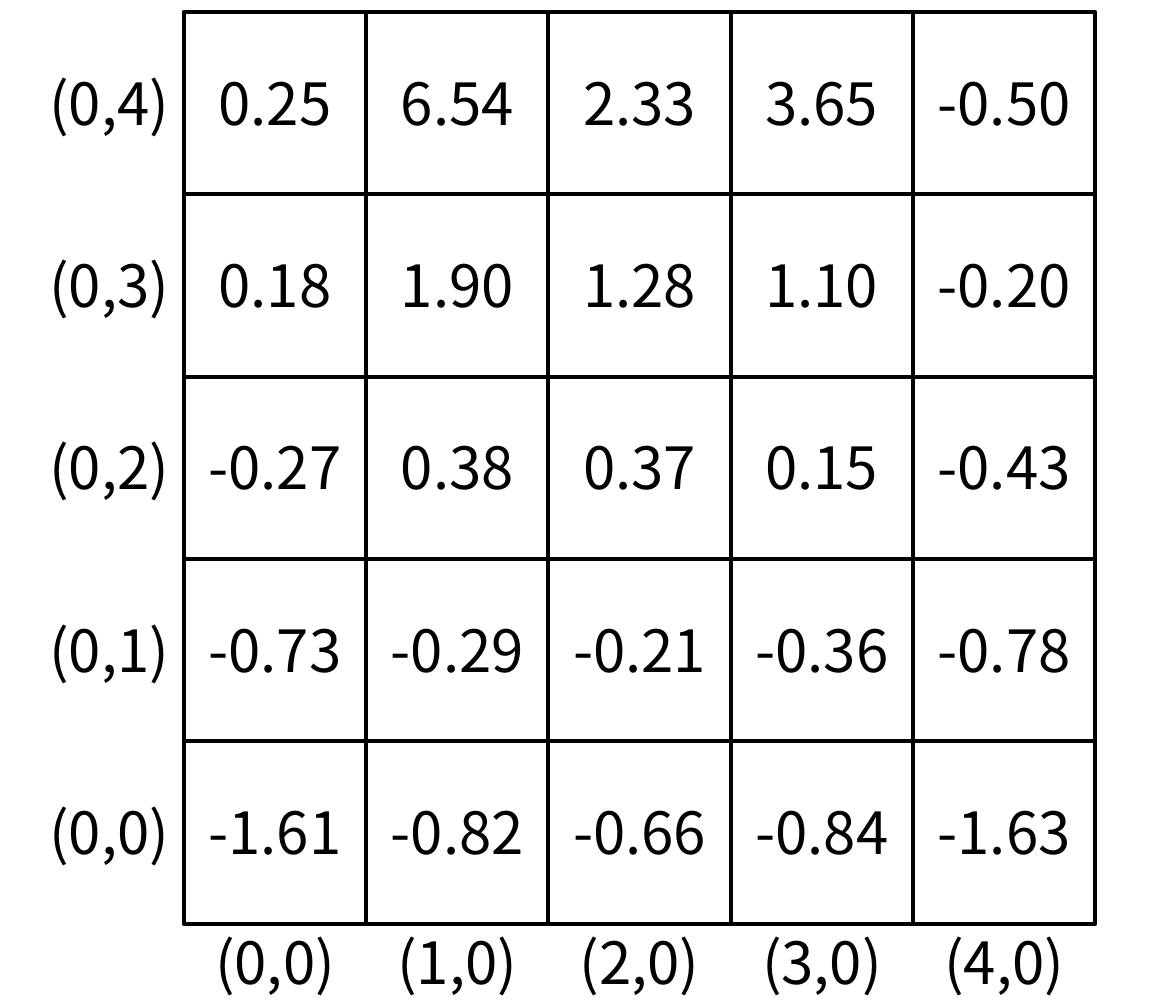
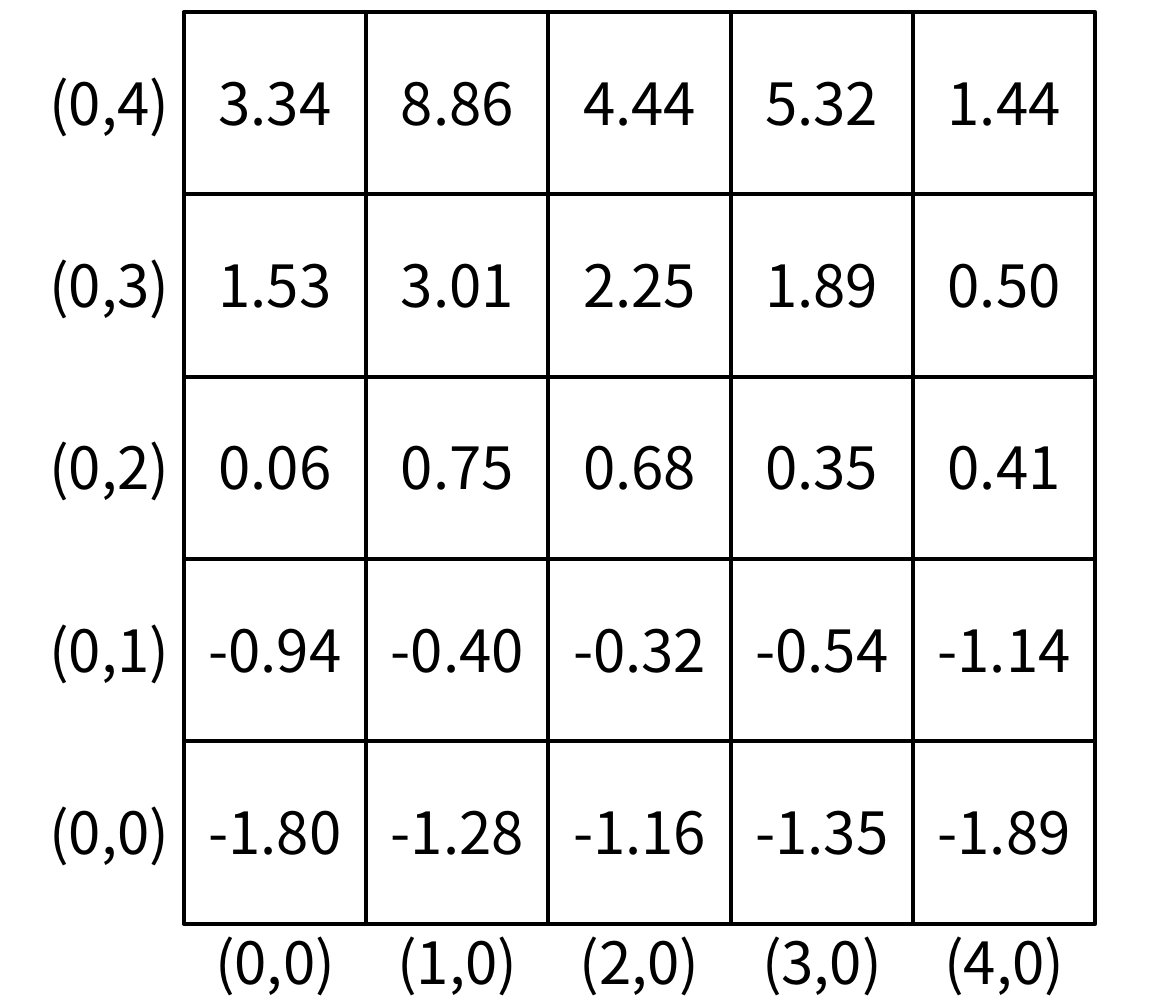
from lxml import etree
from pptx import Presentation
from pptx import util as u
from pptx.dml.color import RGBColor
from pptx.enum import shapes, text
from pptx.oxml.ns import qn

PX = 9144  # EMU in one px: 100 px to the inch
WIDTH, HEIGHT = 787, 669
BLANK_LAYOUT = 6

COUNT, CELL = 5, 122
LEFT, TOP = 123, 8
SIDE = COUNT * CELL
RIGHT, BOTTOM = LEFT + SIDE, TOP + SIDE
TEXT_DROP, TEXT_INSET = 32, 4
LABEL_LEFT, LABEL_TOP = 12, 615

ROW_LABELS = [f"(0,{y})" for y in reversed(range(COUNT))]
COLUMN_LABELS = [f"({x},0)" for x in range(COUNT)]

FIRST_VALUES = [
    ["0.25", "6.54", "2.33", "3.65", "-0.50"],
    ["0.18", "1.90", "1.28", "1.10", "-0.20"],
    ["-0.27", "0.38", "0.37", "0.15", "-0.43"],
    ["-0.73", "-0.29", "-0.21", "-0.36", "-0.78"],
    ["-1.61", "-0.82", "-0.66", "-0.84", "-1.63"],
]
SECOND_VALUES = [
    ["3.34", "8.86", "4.44", "5.32", "1.44"],
    ["1.53", "3.01", "2.25", "1.89", "0.50"],
    ["0.06", "0.75", "0.68", "0.35", "0.41"],
    ["-0.94", "-0.40", "-0.32", "-0.54", "-1.14"],
    ["-1.80", "-1.28", "-1.16", "-1.35", "-1.89"],
]


def px(*lengths):
    return [u.Emu(length * PX) for length in lengths]


def color(hex_string):
    return RGBColor.from_string(hex_string)


class Painter:
    """Holds the deck, its style and the current page."""

    FONT, SIZE, LINE_WIDTH = "Noto Sans CJK JP", 28, 2
    INK, PAPER = "000000", "FFFFFF"

    def __init__(self):
        self.deck = Presentation()
        self.deck.slide_width, self.deck.slide_height = px(WIDTH, HEIGHT)
        self.page = None

    def new_page(self):
        layout = self.deck.slide_layouts[BLANK_LAYOUT]
        self.page = self.deck.slides.add_slide(layout)

    def stroke(self, line):
        line.color.rgb = color(self.INK)
        line.width = u.Pt(self.LINE_WIDTH)

    def rectangle(self, left, top, width, height):
        box = self.page.shapes.add_shape(
            shapes.MSO_SHAPE.RECTANGLE, *px(left, top, width, height))
        box.shadow.inherit = False
        box.fill.solid()
        box.fill.fore_color.rgb = color(self.PAPER)
        self.stroke(box.line)

    def line(self, x1, y1, x2, y2):
        connector = self.page.shapes.add_connector(
            shapes.MSO_CONNECTOR.STRAIGHT, *px(x1, y1, x2, y2))
        self.stroke(connector.line)
        etree.SubElement(connector._element.spPr, qn("a:effectLst"))

    def label(self, words, *, left, top, width, height=57,
              align=text.PP_ALIGN.CENTER):
        box = self.page.shapes.add_textbox(*px(left, top, width, height))
        frame = box.text_frame
        frame.word_wrap = True
        frame.auto_size = text.MSO_AUTO_SIZE.SHAPE_TO_FIT_TEXT
        para = frame.paragraphs[0]
        para.alignment = align
        span = para.add_run()
        span.text = words
        span.font.name = self.FONT
        span.font.size = u.Pt(self.SIZE)
        span.font.color.rgb = color(self.INK)


def draw_grid(painter):
    painter.rectangle(LEFT, TOP, SIDE, SIDE)
    for step in range(CELL, SIDE, CELL):
        painter.line(LEFT, TOP + step, RIGHT, TOP + step)
        painter.line(LEFT + step, TOP, LEFT + step, BOTTOM)


def draw_page(painter, values):
    painter.new_page()
    draw_grid(painter)
    for row, (row_label, numbers) in enumerate(zip(ROW_LABELS, values)):
        top = TOP + row * CELL + TEXT_DROP
        painter.label(row_label, left=LABEL_LEFT, top=top,
                      width=LEFT - LABEL_LEFT, align=text.PP_ALIGN.RIGHT)
        for column, number in enumerate(numbers):
            painter.label(number, left=LEFT + column * CELL + TEXT_INSET,
                          top=top, width=CELL - 2 * TEXT_INSET)
    for column, column_label in enumerate(COLUMN_LABELS):
        painter.label(column_label, left=LEFT + column * CELL,
                      top=LABEL_TOP, width=CELL)


def main():
    painter = Painter()
    for values in (FIRST_VALUES, SECOND_VALUES):
        draw_page(painter, values)
    painter.deck.save("out.pptx")


if __name__ == "__main__":
    main()
